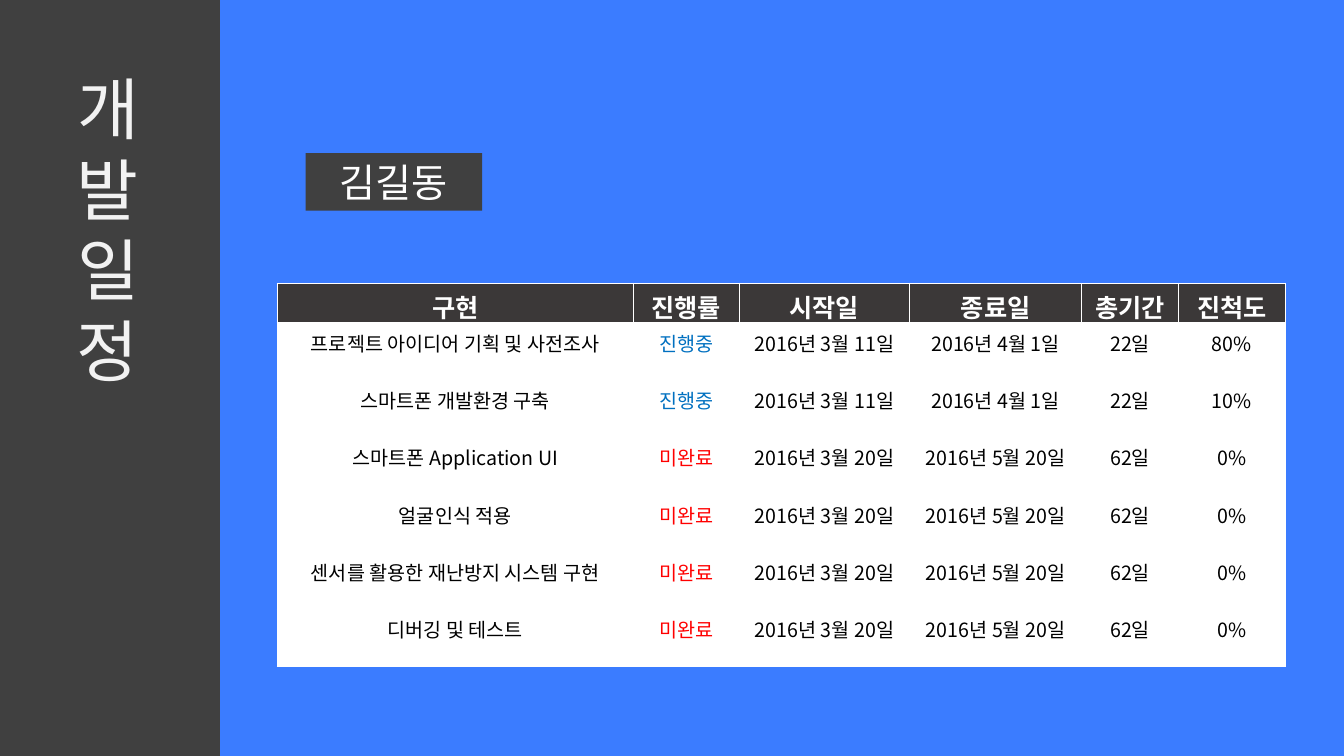
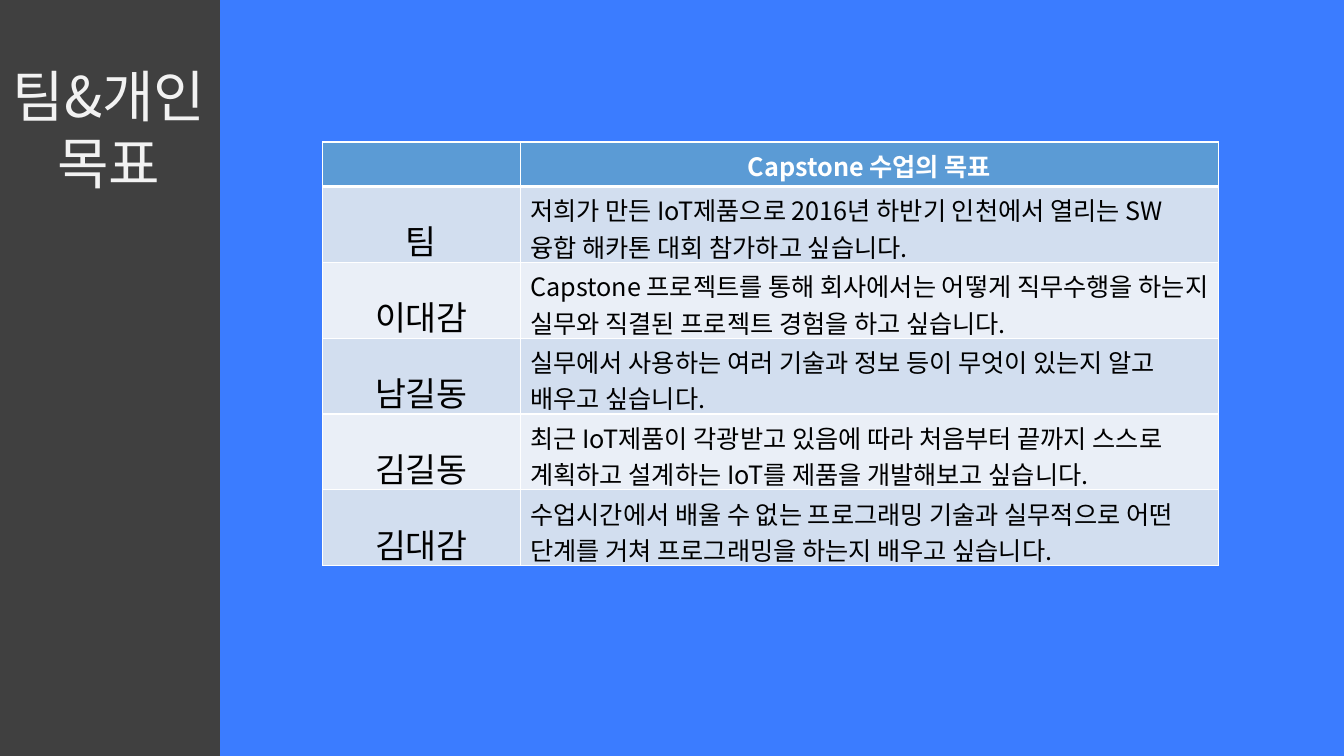
"""Build two slides: a development schedule and the goals of a team."""
from lxml.etree import SubElement
from pptx import Presentation
from pptx.dml.color import RGBColor
from pptx.enum.shapes import MSO_SHAPE
from pptx.enum.text import MSO_ANCHOR, PP_ALIGN
from pptx.oxml.ns import qn
from pptx.util import Cm, Pt

FONT = "Noto Sans CJK KR"
COLORS = {
    "background": "3B7CFF", "band": "404040", "title": "F2F2F2",
    "white": "FFFFFF", "black": "000000", "schedule_head": "3B3838",
    "goal_head": "5B9BD5", "odd_row": "D2DEEF", "even_row": "EAEFF7",
    "진행중": "0070C0", "미완료": "FF0000",
}
SLIDE_W, SLIDE_H, BAND_W = 33.87, 19.05, 5.54

SCHEDULE_HEAD = ["구현", "진행률", "시작일", "종료일", "총기간", "진척도"]
SCHEDULE = [
    ["프로젝트 아이디어 기획 및 사전조사", "진행중", "2016년 3월 11일", "2016년 4월 1일", "22일", "80%"],
    ["스마트폰 개발환경 구축", "진행중", "2016년 3월 11일", "2016년 4월 1일", "22일", "10%"],
] + [
    [task, "미완료", "2016년 3월 20일", "2016년 5월 20일", "62일", "0%"]
    for task in ("스마트폰 Application UI", "얼굴인식 적용",
                 "센서를 활용한 재난방지 시스템 구현", "디버깅 및 테스트")
]
GOALS = [
    ("팀", "저희가 만든 IoT제품으로 2016년 하반기 인천에서 열리는 SW융합 해카톤 대회 참가하고 싶습니다."),
    ("이대감", "Capstone 프로젝트를 통해 회사에서는 어떻게 직무수행을 하는지 실무와 직결된 프로젝트 경험을 하고 싶습니다."),
    ("남길동", "실무에서 사용하는 여러 기술과 정보 등이 무엇이 있는지 알고 배우고 싶습니다."),
    ("김길동", "최근 IoT제품이 각광받고 있음에 따라 처음부터 끝까지 스스로 계획하고 설계하는 IoT를 제품을 개발해보고 싶습니다."),
    ("김대감", "수업시간에서 배울 수 없는 프로그래밍 기술과 실무적으로 어떤 단계를 거쳐 프로그래밍을 하는지 배우고 싶습니다."),
]


def color(name):
    """Return the named colour."""
    return RGBColor.from_string(COLORS[name])


def write(tf, lines, size, ink, align=PP_ALIGN.CENTER, bold=False, spacing=None):
    """Write one paragraph per line in a single style."""
    for i, line in enumerate(lines):
        p = tf.paragraphs[0] if i == 0 else tf.add_paragraph()
        p.text = line
        p.alignment = align
        p.line_spacing = spacing
        p.font.name, p.font.size, p.font.bold = FONT, Pt(size), bold
        p.font.color.rgb = color(ink)


def add_block(s, box, fill):
    """Add a plain filled rectangle."""
    sp = s.shapes.add_shape(MSO_SHAPE.RECTANGLE, *map(Cm, box))
    sp.shadow.inherit = False
    sp.fill.solid()
    sp.fill.fore_color.rgb = color(fill)
    sp.line.fill.background()
    return sp


def add_base(prs, title, box, size):
    """Add a slide with the side band and its title."""
    s = prs.slides.add_slide(prs.slide_layouts[6])
    s.background.fill.solid()
    s.background.fill.fore_color.rgb = color("background")
    add_block(s, (0, 0, BAND_W, SLIDE_H), "band")
    tf = s.shapes.add_textbox(*map(Cm, box)).text_frame
    tf.word_wrap = True
    write(tf, title, size, "title")
    return s


def style_cell(cell, fill, bottom=1):
    """Give a cell white borders and a solid fill."""
    tcPr = cell._tc.get_or_add_tcPr()
    for tag, width in (("lnL", 1), ("lnR", 1), ("lnT", 1), ("lnB", bottom)):
        ln = SubElement(tcPr, qn(f"a:{tag}"), w=str(Pt(width)))
        SubElement(SubElement(ln, qn("a:solidFill")), qn("a:srgbClr"), val=COLORS["white"])
    cell.fill.solid()
    cell.fill.fore_color.rgb = color(fill)


def add_grid(s, left, top, widths, head_height, row_height, head, head_fill, row_fills, count):
    """Add a table with a styled header and alternating row fills."""
    height = head_height + count * row_height
    box = map(Cm, (left, top, sum(widths), height))
    table = s.shapes.add_table(count + 1, len(widths), *box).table
    for column, width in zip(table.columns, widths):
        column.width = Cm(width)
    for i, row in enumerate(table.rows):
        row.height = Cm(row_height if i else head_height)
        for cell in row.cells:
            if i:
                style_cell(cell, row_fills[(i - 1) % len(row_fills)])
            else:
                style_cell(cell, head_fill, bottom=3)
    for j, text in enumerate(head):
        write(table.cell(0, j).text_frame, [text], 18, "white", bold=True)
    return table


def add_schedule(prs):
    """Add the schedule slide."""
    s = add_base(prs, ["개발", "일정"], (0.94, 1.57, 3.56, 4.37), 48)
    tf = add_block(s, (7.7, 3.86, 4.45, 1.45), "band").text_frame
    tf.vertical_anchor = MSO_ANCHOR.MIDDLE
    write(tf, ["김길동"], 28, "white")
    table = add_grid(s, 6.99, 7.14, (8.97, 2.67, 4.29, 4.34, 2.44, 2.69), 0.94, 1.04,
                     SCHEDULE_HEAD, "schedule_head", ["white"], len(SCHEDULE))
    for i, task in enumerate(SCHEDULE, 1):
        for j, text in enumerate(task):
            ink = text if text in COLORS else "black"
            write(table.cell(i, j).text_frame, [text], 14, ink)


def add_goals(prs):
    """Add the slide of team and personal goals."""
    s = add_base(prs, ["팀&개인", "목표"], (-0.05, 1.42, 5.59, 3.68), 40)
    table = add_grid(s, 8.13, 3.58, (4.98, 17.6), 1.12, 1.91,
                     ["", "Capstone 수업의 목표"], "goal_head",
                     ["odd_row", "even_row"], len(GOALS))
    for i, (name, goal) in enumerate(GOALS, 1):
        write(table.cell(i, 0).text_frame, [name], 24, "black", spacing=1.5)
        write(table.cell(i, 1).text_frame, [goal], 18, "black", PP_ALIGN.LEFT)


prs = Presentation()
prs.slide_width, prs.slide_height = Cm(SLIDE_W), Cm(SLIDE_H)
add_schedule(prs)
add_goals(prs)
prs.save("out.pptx")
